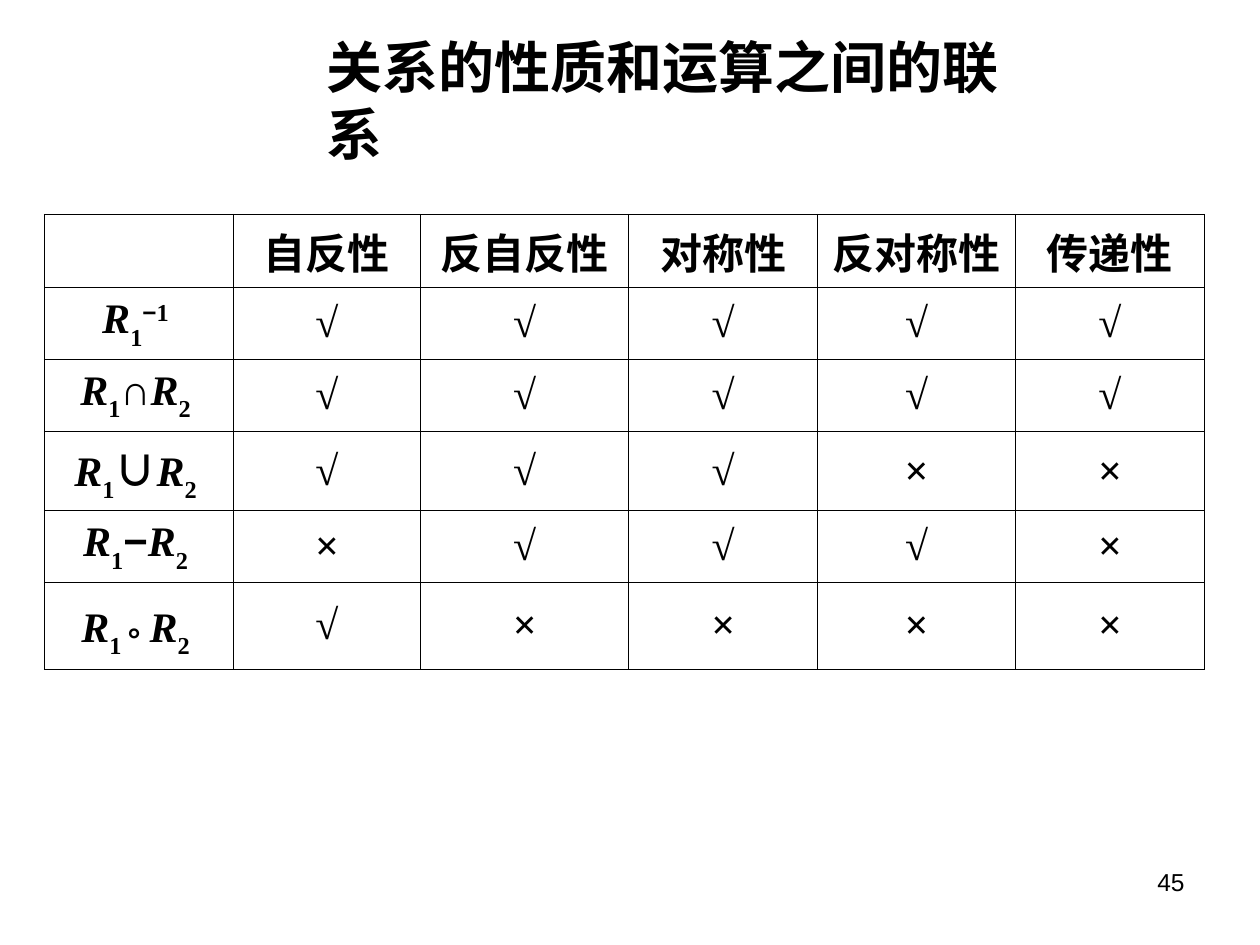
"""Build a slide with a table linking relation properties to relation operations."""
from lxml import etree
from pptx import Presentation
from pptx import util as u
from pptx.dml import color
from pptx.enum import text
from pptx.oxml import ns

COLORS = {"ink": "000000", "paper": "FFFFFF"}
CJK = "Noto Sans CJK SC"
SERIF = "Times New Roman"
INSETS = {"margin_left": u.Inches(0.1), "margin_right": u.Inches(0.1),
          "margin_top": u.Inches(0.05), "margin_bottom": u.Inches(0.05)}
STYLES = {
    "title": {"size": 32, "name": "Arial", "bold": True, "ea": CJK},
    "head": {"size": 24, "name": "Arial", "bold": True, "ea": CJK},
    "page": {"size": 14, "name": "Arial", "bold": False},
    "mark": {"size": 24, "name": SERIF, "bold": True},
    "var": {"size": 24, "name": SERIF, "bold": True, "italic": True},
    "sub": {"size": 24, "name": SERIF, "bold": True, "base": -30},
    "sup": {"size": 24, "name": SERIF, "bold": True, "base": 30},
    "minus_sup": {"size": 24, "name": "Arial", "bold": True, "base": 30},
    "minus": {"size": 24, "name": "Arial", "bold": True},
    "union": {"size": 24, "name": CJK, "bold": True, "ea": CJK},
    "ring": {"size": 32, "name": "Arial", "bold": True, "ea": CJK, "base": -16},
}
HEADS = ["", "自反性", "反自反性", "对称性", "反对称性", "传递性"]
R1 = [("R", "var"), ("1", "sub")]
R2 = [("R", "var"), ("2 ", "sub")]
ROWS = [
    (R1 + [("−", "minus_sup"), ("1 ", "sup")], "√√√√√"),
    (R1 + [("∩", "mark")] + R2, "√√√√√"),
    (R1 + [("∪", "union")] + R2, "√√√××"),
    (R1 + [("−", "minus")] + R2, "×√√√×"),
    ([("R", "var"), ("1 ", "sub"), ("° ", "ring")] + R2, "√××××"),
]
WIDTHS = [1.5, 1.49, 1.65, 1.5, 1.57, 1.5]
HEIGHTS = [0.5, 0.57, 0.57, 0.57, 0.57, 0.69]


def write(tf, runs, align):
    p = tf.paragraphs[0]
    p.alignment = align
    for words, style in runs:
        r = p.add_run()
        r.text = words
        r.font.color.rgb = color.RGBColor.from_string(COLORS["ink"])
        for key, value in STYLES[style].items():
            if key == "size":
                r.font.size = u.Pt(value)
            elif key == "base":
                r.font._element.set("baseline", str(value * 1000))
            elif key == "ea":
                r.font._element.get_or_add_latin().addnext(
                    etree.Element(ns.qn("a:ea"), typeface=value))
            else:
                setattr(r.font, key, value)


def add_border(cell, side, width):
    ln = etree.SubElement(cell._tc.get_or_add_tcPr(), ns.qn(f"a:ln{side}"),
                          w=str(u.Pt(width)))
    fill = etree.SubElement(ln, ns.qn("a:solidFill"))
    etree.SubElement(fill, ns.qn("a:srgbClr"), val=COLORS["ink"])


prs = Presentation()
prs.slide_width, prs.slide_height = u.Inches(10), u.Inches(7.5)
s = prs.slides.add_slide(prs.slide_layouts[6])
s.background.fill.solid()
s.background.fill.fore_color.rgb = color.RGBColor.from_string(COLORS["paper"])

frame = s.shapes.add_table(len(HEIGHTS), len(WIDTHS), u.Inches(0.35), u.Inches(1.7),
                           u.Inches(sum(WIDTHS)), u.Inches(sum(HEIGHTS)))
table = frame.table
table.first_row = table.horz_banding = False
for col, width in zip(table.columns, WIDTHS):
    col.width = u.Inches(width)
for row, height in zip(table.rows, HEIGHTS):
    row.height = u.Inches(height)

grid = [[[(head, "head")] if head else [] for head in HEADS]]
grid += [[label] + [[(mark, "mark")] for mark in marks] for label, marks in ROWS]
for i, line in enumerate(grid):
    for j, runs in enumerate(line):
        cell = table.cell(i, j)
        for key, value in INSETS.items():
            setattr(cell, key, value)
        cell.vertical_anchor = text.MSO_ANCHOR.MIDDLE
        write(cell.text_frame, runs, text.PP_ALIGN.CENTER)
        outer = {"L": j == 0, "R": j == len(WIDTHS) - 1,
                 "T": i == 0, "B": i == len(HEIGHTS) - 1}
        for side, edge in outer.items():
            add_border(cell, side, 0.34 if edge else 0.45)
        cell.fill.background()

BOXES = [
    ("关系的性质和运算之间的联系", "title", (2.49, 0.21, 5.98, 0.64), text.PP_ALIGN.LEFT, False),
    ("45", "page", (7.17, 6.83, 2.33, 0.52), text.PP_ALIGN.RIGHT, True),
]
for words, style, place, align, wrap in BOXES:
    tf = s.shapes.add_textbox(*map(u.Inches, place)).text_frame
    for key, value in {**INSETS, "word_wrap": wrap}.items():
        setattr(tf, key, value)
    write(tf, [(words, style)], align)

prs.save("out.pptx")
